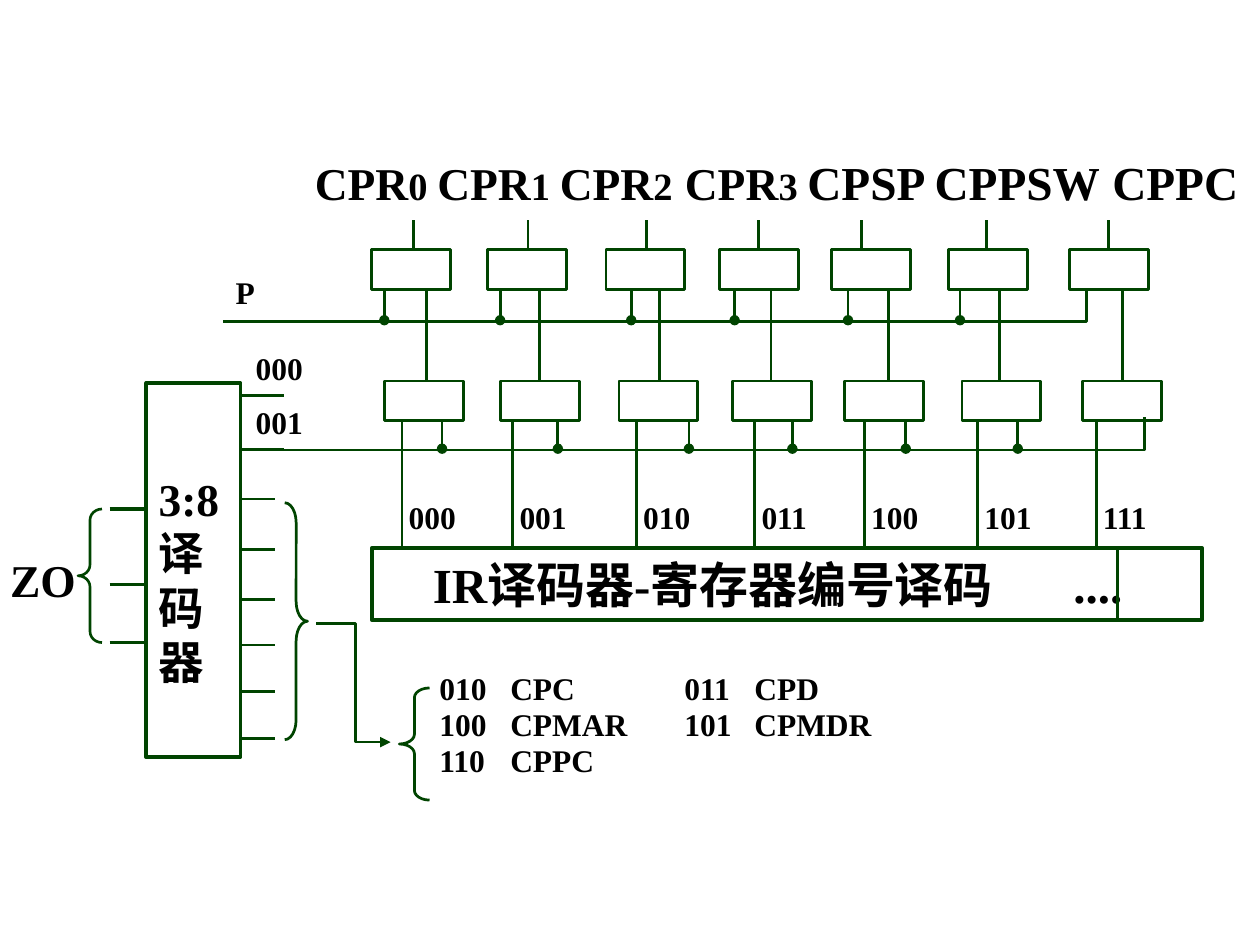
import pptx
import pptx.util
import pptx.dml.color
import pptx.enum.shapes
import pptx.enum.text
import pptx.oxml
import pptx.oxml.ns

Pt = pptx.util.Pt
KIND = pptx.enum.shapes.MSO_SHAPE
HOOK = pptx.enum.text.MSO_ANCHOR
INK = "004400"


def tint(text):
    return pptx.dml.color.RGBColor.from_string(text)


def put(thing, values):
    for name, value in values.items():
        setattr(thing, name, value)


def node(tag, **attrs):
    item = pptx.oxml.parse_xml(
        "<a:%s %s/>" % (tag, pptx.oxml.ns.nsdecls("a")))
    for name, value in attrs.items():
        item.set(name, str(value))
    return item


class Board:
    """Holds the style and the current slide, and draws each kind of part."""

    font = {"name": "Times New Roman", "bold": True}

    def __init__(self, slide):
        self.slide = slide

    def trace(self, part, width, tip=None):
        part.line.color.rgb = tint(INK)
        part.line.width = Pt(width)
        if tip:
            edge = part.element.spPr.find(pptx.oxml.ns.qn("a:ln"))
            edge.append(node("tailEnd", type=tip))

    def wire(self, x1, y1, x2, y2, width=1.6, tip=None):
        part = self.slide.shapes.add_connector(
            pptx.enum.shapes.MSO_CONNECTOR.STRAIGHT, Pt(x1), Pt(y1), Pt(x2), Pt(y2))
        self.trace(part, width, tip)
        part.element.spPr.append(node("effectLst"))

    def shape(self, kind, x, y, w, h, width=1.6, bend=None):
        part = self.slide.shapes.add_shape(kind, Pt(x), Pt(y), Pt(w), Pt(h))
        part.shadow.inherit = False
        part.fill.background()
        self.trace(part, width)
        if bend:
            part.adjustments[0] = bend
        return part

    def route(self, dots, tip=None):
        dots = [(Pt(x), Pt(y)) for x, y in dots]
        pen = self.slide.shapes.build_freeform(*dots[0], scale=1.0)
        pen.add_line_segments(dots[1:], close=False)
        part = pen.convert_to_shape()
        part.shadow.inherit = False
        part.fill.background()
        self.trace(part, 1.6, tip)

    def label(self, x, y, w, h, rows, size=18, **form):
        part = self.slide.shapes.add_textbox(Pt(x), Pt(y), Pt(w), Pt(h))
        self.words(part, rows, size, **form)

    def words(self, part, rows, size, tabs=(), gap=1.0, **form):
        frame = part.text_frame
        put(frame, {"word_wrap": True, "vertical_anchor": HOOK.TOP, **form})
        for at, row in enumerate(rows):
            para = frame.add_paragraph() if at else frame.paragraphs[0]
            put(para, {"alignment": pptx.enum.text.PP_ALIGN.LEFT, "line_spacing": gap})
            if tabs:
                stops = node("tabLst")
                for stop in tabs:
                    stops.append(node("tab", pos=int(Pt(stop)), algn="l"))
                para._p.get_or_add_pPr().append(stops)
            for text, points in [(row, size)] if isinstance(row, str) else row:
                run = para.add_run()
                run.text = text
                put(run.font, {**self.font, "size": Pt(points)})
                run.font.color.rgb = tint("000000")


deck = pptx.Presentation()
put(deck, {"slide_width": Pt(720), "slide_height": Pt(540)})
board = Board(deck.slides.add_slide(deck.slide_layouts[6]))

lanes = [
    ("000", 212.4, 236.2, 243.7, 229.7),
    ("001", 278.6, 301.7, 308.5, 293),
    ("010", 346.3, 369.4, 377, 363.6),
    ("011", 411.1, 433.4, 440.6, 431.3),
    ("100", 475.2, 492.5, 507.6, 493.9),
    ("101", 542.2, 563.8, 571, 558.7),
    ("111", 611.3, 633.6, 641.5, 626.4),
]
for code, left, out, link, feed in lanes:
    board.shape(KIND.RECTANGLE, left, 142.8, 45, 22.5)
    board.shape(KIND.RECTANGLE, left + 7.5, 217.7, 45, 22.5)
    board.wire(out, 142.8, out, 125.5)
    board.wire(link, 217.7, link, 165)
    board.wire(feed, 240, feed, 313)
    board.label(feed - 3.2, 281, 52, 29, [code])

taps = (219.6, 285.8, 360.7, 419.8, 484.6, 548.6)
for shift, drop in ((0, 0), (33, 73.4)):
    board.route([(127.5 + shift, 183.8 + drop), (621 + shift, 183.8 + drop),
                 (621 + shift, 165 + drop)])
    for tap in taps:
        board.wire(tap + shift, 166.2 + drop, tap + shift, 183 + drop, tip="oval")

bank = board.shape(KIND.RECTANGLE, 212.4, 313.2, 474.5, 41, 2.25)
board.words(bank, ["IR译码器-寄存器编号译码\t...."], 28, tabs=[366],
            margin_left=Pt(35), vertical_anchor=HOOK.MIDDLE)
board.wire(638.6, 313.2, 638.6, 354.5, 2.25)

box = board.shape(KIND.RECTANGLE, 83.5, 218.9, 54, 213.8, 2)
board.words(box, ["3:8译码器"], 26, margin_top=Pt(50))
for y in (291, 334, 367.2):
    board.wire(62.6, y, 83, y, 2)
for y in (285.1, 313.9, 342.7, 368.6, 395.3, 421.9):
    board.wire(138, y, 157, y)
for y, code in ((226.1, "000"), (257, "001")):
    board.wire(138, y, 162.5, y)
    board.label(139, y - 30.2, 52, 29, [code])

board.shape(KIND.LEFT_BRACE, 44.6, 290.9, 13.7, 76.3, 1.5, 0.46)
board.shape(KIND.RIGHT_BRACE, 162.7, 287.3, 13, 135.4, 1.55, 0.87)
board.shape(KIND.LEFT_BRACE, 228.2, 393.1, 17.3, 64.1, 1.55, 0.32)
board.route([(180.7, 356.4), (203, 356.4), (203, 424.1), (223.2, 424.1)], "triangle")

board.label(5.8, 312, 48, 38, ["ZO"], 26, margin_left=0, margin_right=0)
board.label(127.5, 152.6, 26, 29, ["P"])
board.label(172.8, 83, 547, 41, [[
    ("CPR", 26), ("0 ", 22), ("CPR", 26), ("1 ", 22), ("CPR", 26), ("2", 22),
    (" ", 28), ("CPR", 26), ("3 ", 22), ("CPSP CPPSW", 27), (" ", 28), ("CPPC", 27)]],
    margin_right=0)
board.label(244, 380.2, 357, 74, [
    "010\tCPC\t011\tCPD", "100\tCPMAR\t101\tCPMDR", "110\tCPPC"],
    tabs=[40.5, 140, 180], gap=0.95)

deck.save("out.pptx")
